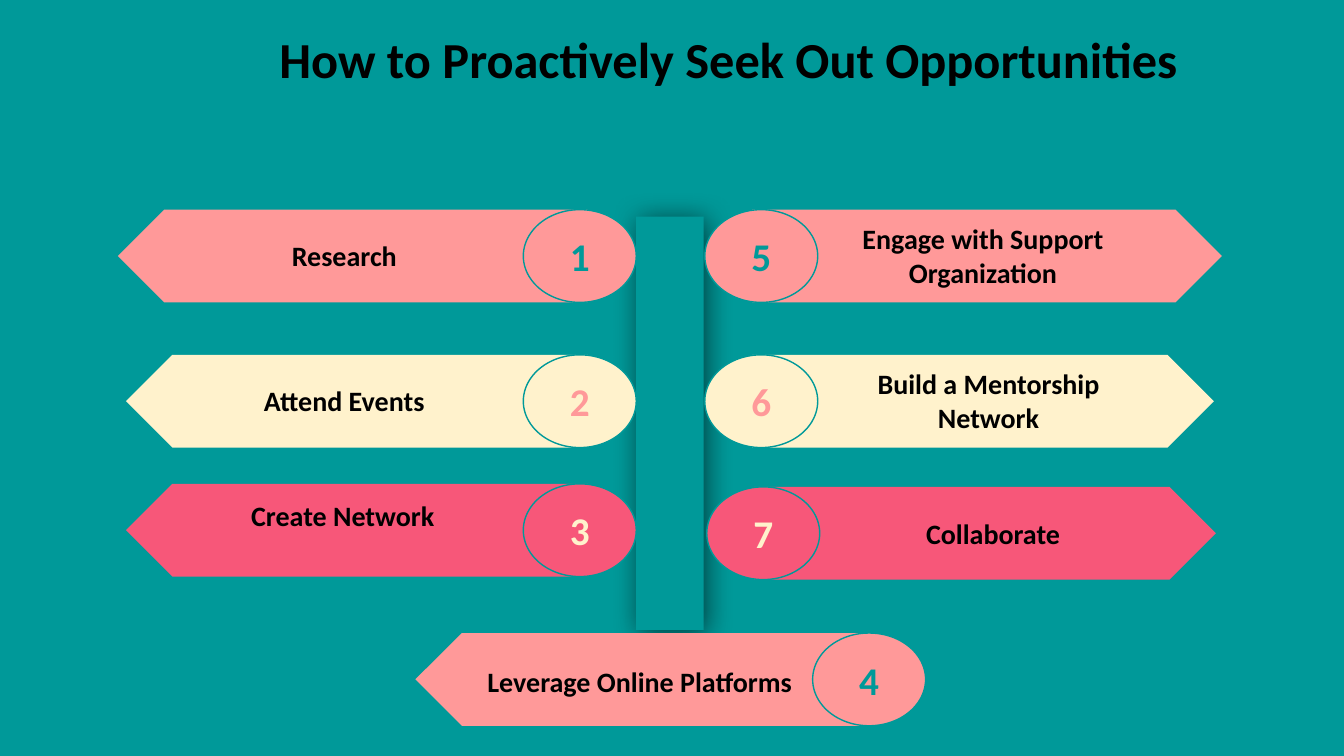
from dataclasses import dataclass

from lxml import etree
from pptx import Presentation
from pptx.dml.color import RGBColor
from pptx.enum import shapes, text
from pptx.oxml import ns
from pptx.util import Inches, Pt

TEAL = RGBColor(0x00, 0x99, 0x99)
SALMON = RGBColor(0xFF, 0x99, 0x99)
CREAM = RGBColor(0xFF, 0xF2, 0xCC)
ROSE = RGBColor(0xF7, 0x57, 0x79)
BLACK = RGBColor(0x00, 0x00, 0x00)

BANNER_HEIGHT = 0.92
BADGE_WIDTH = 1.12
LINE_HEIGHT = 0.33
NUMBER_COLORS = {SALMON: TEAL, CREAM: SALMON, ROSE: CREAM}


@dataclass
class Banner:
    number: int
    label: str
    color: RGBColor
    left: float
    top: float
    width: float
    label_left: float
    label_top: float
    label_width: float
    lines: int = 1
    points_left: bool = True

    @property
    def badge_left(self):
        if self.points_left:
            return self.left + self.width - 0.64
        return self.left - 0.47


BANNERS = [
    Banner(2, "Attend Events", CREAM, 1.25, 3.52, 4.58, 1.68, 3.76, 3.47),
    Banner(3, "Create Network", ROSE, 1.25, 4.8, 4.58, 1.71, 4.9, 3.38),
    Banner(1, "Research", SALMON, 1.17, 2.08, 4.66, 1.78, 2.32, 3.27),
    Banner(4, "Leverage Online Platforms", SALMON,
           4.12, 6.28, 4.58, 4.53, 6.54, 3.63),
    Banner(6, "Build a Mentorship Network", CREAM,
           7.46, 3.52, 4.58, 8.09, 3.59, 3.43, 2, False),
    Banner(7, "Collaborate", ROSE,
           7.48, 4.83, 4.58, 8.18, 5.07, 3.34, 1, False),
    Banner(5, "Engage with Support Organization", SALMON,
           7.46, 2.08, 4.66, 7.82, 2.15, 3.86, 2, False),
]


def write_text(shape, words, size, color, alignment, frame_format):
    """Fill a shape with one bold paragraph."""
    frame = shape.text_frame
    for name, value in frame_format.items():
        setattr(frame, name, value)
    paragraph = frame.paragraphs[0]
    paragraph.alignment = alignment
    run = paragraph.add_run()
    run.text = words
    font_format = {"name": "Calibri", "size": Pt(size), "bold": True}
    for name, value in font_format.items():
        setattr(run.font, name, value)
    run.font.color.rgb = color


def add_filled_shape(parent, kind, box, color, outline=None):
    shape = parent.shapes.add_shape(kind, *map(Inches, box))
    shape.shadow.inherit = False
    shape.fill.solid()
    shape.fill.fore_color.rgb = color
    if outline is None:
        shape.line.fill.background()
    else:
        shape.line.color.rgb = outline
        shape.line.width = Pt(1)
    return shape


def add_title(slide, words):
    title = slide.shapes.title
    box = {"left": 2.67, "top": 0.23, "width": 9.22, "height": 0.71}
    for name, value in box.items():
        setattr(title, name, Inches(value))
    write_text(title, words, 36, BLACK, text.PP_ALIGN.LEFT, {
        "word_wrap": False,
        "auto_size": text.MSO_AUTO_SIZE.SHAPE_TO_FIT_TEXT,
        "vertical_anchor": text.MSO_ANCHOR.TOP,
    })


def add_post(slide):
    """Add the central post with its soft shadow."""
    post = add_filled_shape(slide, shapes.MSO_SHAPE.RECTANGLE,
                            (6.31, 2.15, 0.67, 4.1), TEAL)
    effects = post.element.spPr.find(ns.qn("a:effectLst"))
    shadow = etree.SubElement(
        effects, ns.qn("a:outerShdw"), blurRad=str(Pt(20)), dist=str(Pt(3)),
        dir=str(45 * 60000), algn="ctr", rotWithShape="0")
    color = etree.SubElement(shadow, ns.qn("a:srgbClr"), val=str(BLACK))
    etree.SubElement(color, ns.qn("a:alpha"), val="60000")


def add_banner(slide, banner):
    """Add one pointed banner with its numbered badge and label."""
    group = slide.shapes.add_group_shape()

    # Pointed body
    body = add_filled_shape(
        group, shapes.MSO_SHAPE.PENTAGON,
        (banner.left, banner.top, banner.width, BANNER_HEIGHT), banner.color)
    if banner.points_left:
        body.element.spPr.find(ns.qn("a:xfrm")).set("flipH", "1")

    # Numbered badge
    badge = add_filled_shape(
        group, shapes.MSO_SHAPE.OVAL,
        (banner.badge_left, banner.top, BADGE_WIDTH, BANNER_HEIGHT),
        banner.color, TEAL)
    write_text(badge, str(banner.number), 28, NUMBER_COLORS[banner.color],
               text.PP_ALIGN.CENTER,
               {"vertical_anchor": text.MSO_ANCHOR.MIDDLE})

    # Label
    label_height = 0.11 + banner.lines * LINE_HEIGHT
    label = group.shapes.add_textbox(*map(Inches, (
        banner.label_left, banner.label_top,
        banner.label_width, label_height)))
    write_text(label, banner.label, 20, BLACK, text.PP_ALIGN.CENTER, {
        "word_wrap": True,
        "auto_size": text.MSO_AUTO_SIZE.SHAPE_TO_FIT_TEXT,
    })


def main():
    presentation = Presentation()
    presentation.slide_width = Inches(13.33)
    presentation.slide_height = Inches(7.5)
    slide = presentation.slides.add_slide(presentation.slide_layouts[5])

    # Background
    slide.background.fill.solid()
    slide.background.fill.fore_color.rgb = TEAL

    # Content
    add_title(slide, "How to Proactively Seek Out Opportunities")
    add_post(slide)
    for banner in BANNERS:
        add_banner(slide, banner)

    presentation.save("out.pptx")


if __name__ == "__main__":
    main()
